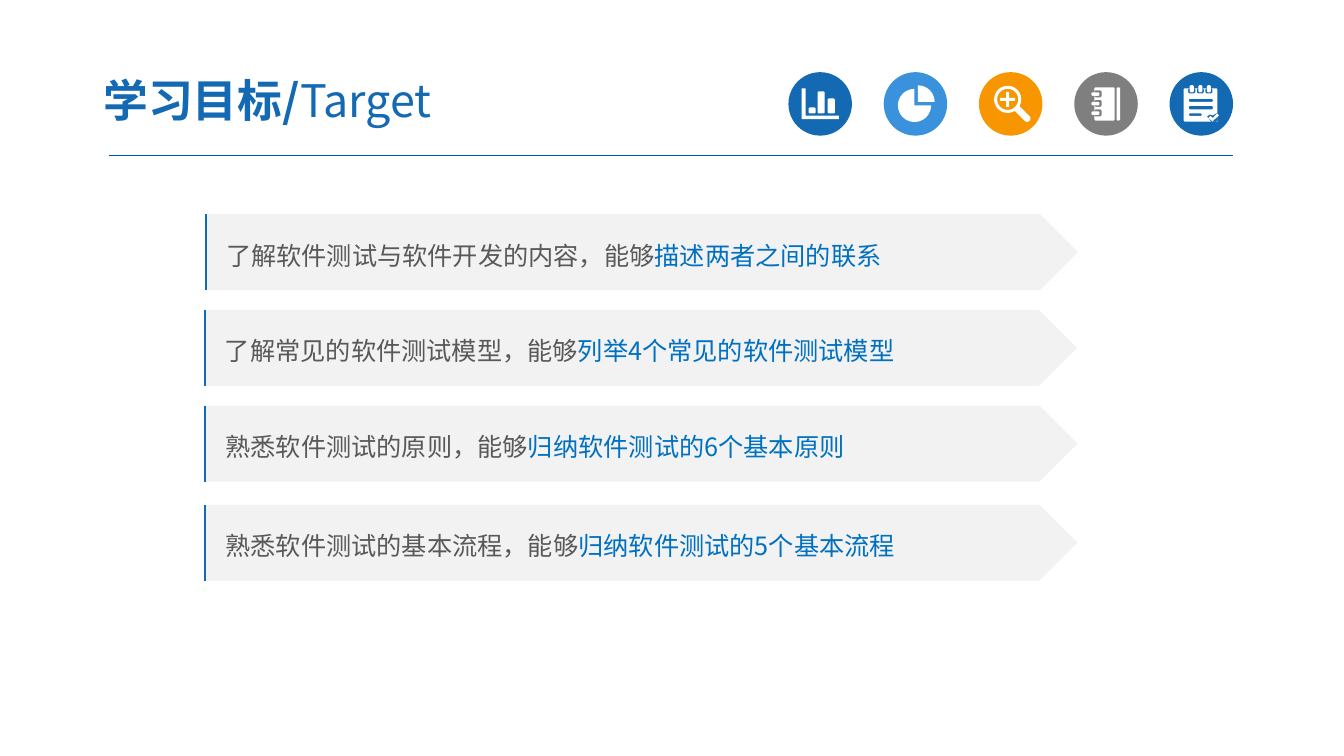
from dataclasses import dataclass
from math import cos, radians, sin

from lxml.etree import SubElement
from pptx import Presentation
from pptx.dml.color import RGBColor
from pptx.enum.shapes import MSO_CONNECTOR as Link, MSO_SHAPE as Preset
from pptx.enum.text import MSO_ANCHOR as Anchor, MSO_AUTO_SIZE as Fit, PP_ALIGN as Align
from pptx.oxml.ns import qn
from pptx.shapes.autoshape import Shape
from pptx.slide import Slide
from pptx.text.text import _Paragraph as Paragraph
from pptx.util import Inches, Length, Pt

NAVY = RGBColor(0x13, 0x69, 0xB2)
SKY = RGBColor(0x39, 0x92, 0xDB)
ORANGE = RGBColor(0xF7, 0x96, 0x00)
GRAY = RGBColor(0x7F, 0x7F, 0x7F)
WHITE = RGBColor(0xFF, 0xFF, 0xFF)
PALE = RGBColor(0xF2, 0xF2, 0xF2)
INK = RGBColor(0x59, 0x59, 0x59)
ACCENT = RGBColor(0x00, 0x70, 0xC0)
RULE = RGBColor(0x00, 0x5B, 0x9E)
FONT = "Noto Sans CJK SC"
COLUMNS, ROWS = 133.3, 75
DISC_LEFT, DISC_TOP, DISC_SIZE, DISC_PITCH = 78.2, 7.16, 6.3, 9.45
BANNER_WIDTH, BANNER_HEIGHT = 86.6, 7.53

Outline = tuple[tuple[float, float], ...]


@dataclass(frozen=True)
class Icon:
    """A coloured disc and the outlines of its glyph, in grid units from its corner."""

    color: RGBColor
    outlines: tuple[Outline, ...]


@dataclass(frozen=True)
class Goal:
    """A learning goal and the place of its banner."""

    left: float
    top: float
    lead: str
    focus: str


def bar(left: float, top: float, width: float, height: float) -> Outline:
    """Outline a bar with bevelled corners."""
    right, bottom, bevel = left + width, top + height, 0.1
    return ((left + bevel, top), (right - bevel, top), (right, top + bevel),
            (right, bottom - bevel), (right - bevel, bottom), (left + bevel, bottom),
            (left, bottom - bevel), (left, top + bevel))


def arc(x: float, y: float, radius: float, start: int = 0, end: int = 360) -> Outline:
    """Trace an arc clockwise around a centre."""
    return tuple((x + radius * cos(radians(angle)), y + radius * sin(radians(angle)))
                 for angle in range(start, end + 1, 15))


CHART = Icon(NAVY, (
    ((1.3, 1.6), (1.7, 1.6), (1.7, 4.3), (5, 4.3), (5, 4.65), (1.3, 4.65)),
    bar(2, 3.5, 0.7, 0.6), bar(2.9, 1.9, 0.7, 2.2), bar(3.9, 2.6, 0.7, 1.5)))
PIE = Icon(SKY, (
    (*arc(3.05, 3.3, 1.65, 0, 270), (3.05, 3.3)),
    (*arc(3.4, 2.95, 1.65, 270, 360), (3.4, 2.95))))
LENS = Icon(ORANGE, (
    arc(2.85, 2.7, 1.35), arc(2.85, 2.7, 1.05),
    ((2.7, 1.95), (3, 1.95), (3, 2.55), (3.6, 2.55), (3.6, 2.85), (3, 2.85),
     (3, 3.45), (2.7, 3.45), (2.7, 2.85), (2.1, 2.85), (2.1, 2.55), (2.7, 2.55)),
    ((4.05, 3.4), (5.1, 4.45), (5.1, 4.75), (4.85, 4.95), (4.6, 4.9), (3.55, 3.85))))
NOTEBOOK = Icon(GRAY, (
    bar(2, 1.5, 2, 3.3), bar(4.2, 1.5, 0.35, 3.3),
    *(bar(2, top, 0.7, 0.7) for top in (1.8, 2.75, 3.7)),
    *(bar(1.7, top, 0.8, 0.35) for top in (2, 2.95, 3.9))))
NOTEPAD = Icon(NAVY, (
    bar(1.4, 1.6, 3.35, 3.3),
    *(bar(left, 1.6, 0.7, 0.5) for left in (1.85, 2.7, 3.55)),
    *(bar(left, 1.3, 0.4, 0.7) for left in (2, 2.85, 3.7)),
    bar(1.9, 2.65, 2.4, 0.3), bar(1.9, 3.35, 2.4, 0.35), bar(1.9, 4.1, 1.3, 0.25),
    ((3.7, 4.4), (4, 4.2), (4.3, 4.3), (4.75, 4), (4.75, 4.9), (4.1, 4.9)),
    ((3.85, 4.55), (4.05, 4.35), (4.3, 4.55), (4.7, 4.1), (4.9, 4.3), (4.25, 4.88))))
ICONS = (CHART, PIE, LENS, NOTEBOOK, NOTEPAD)

GOALS = (
    Goal(20.33, 21.25, "了解软件测试与软件开发的内容，能够", "描述两者之间的联系"),
    Goal(20.22, 30.74, "了解常见的软件测试模型，能够", "列举4个常见的软件测试模型"),
    Goal(20.27, 40.25, "熟悉软件测试的原则，能够", "归纳软件测试的6个基本原则"),
    Goal(20.27, 50.08, "熟悉软件测试的基本流程，能够", "归纳软件测试的5个基本流程"),
)


def grid(units: float) -> Length:
    """Turn columns or rows of the grid into a length."""
    return Inches(units / 10)


def paint(shape: Shape, color: RGBColor) -> None:
    """Give a shape a flat fill without outline."""
    shape.shadow.inherit = False
    shape.fill.solid()
    shape.fill.fore_color.rgb = color
    shape.line.fill.background()


def add_block(page: Slide, preset: Preset, left: float, top: float,
              width: float, height: float, color: RGBColor) -> Shape:
    """Draw a flat preset shape."""
    block = page.shapes.add_shape(preset, *map(grid, (left, top, width, height)))
    paint(block, color)
    return block


def add_line(page: Slide, start: tuple[float, float], end: tuple[float, float],
             color: RGBColor, weight: float) -> None:
    """Draw a plain straight line."""
    line = page.shapes.add_connector(Link.STRAIGHT, *map(grid, (*start, *end)))
    line.line.color.rgb = color
    line.line.width = Pt(weight)
    SubElement(line._element.spPr, qn("a:effectLst"))


def set_font(para: Paragraph, size: float) -> None:
    """Set size and typeface for Latin and East Asian text."""
    para.font.size = Pt(size)
    para.font.name = FONT
    defaults = para._p.pPr.find(qn("a:defRPr"))
    SubElement(defaults, qn("a:ea"), typeface=FONT)


def add_title(page: Slide) -> None:
    """Fill and place the title."""
    title = page.shapes.title
    title.left, title.top, title.width, title.height = map(grid, (8.95, 6.3, 52.2, 7.2))
    frame = title.text_frame
    frame.auto_size = Fit.NONE
    frame.vertical_anchor = Anchor.MIDDLE
    frame.margin_left = frame.margin_right = grid(1.3)
    frame.margin_top = frame.margin_bottom = grid(0.7)
    para = frame.paragraphs[0]
    para.alignment = Align.LEFT
    set_font(para, 32)
    para.font.color.rgb = NAVY
    for text, bold in (("学习目标/", True), ("Target", False)):
        span = para.add_run()
        span.text = text
        span.font.bold = bold


def add_icon(page: Slide, icon: Icon, left: float) -> None:
    """Draw a disc and its glyph."""
    add_block(page, Preset.OVAL, left, DISC_TOP, DISC_SIZE, DISC_SIZE, icon.color)
    outlines = [[(grid(left + x), grid(DISC_TOP + y)) for x, y in outline]
                for outline in icon.outlines]
    builder = page.shapes.build_freeform(*outlines[0][0])
    for outline in outlines:
        builder.move_to(*outline[0])
        builder.add_line_segments(outline[1:], close=True)
    paint(builder.convert_to_shape(), WHITE)


def add_goal(page: Slide, goal: Goal) -> None:
    """Draw a goal banner with its edge line."""
    banner = add_block(page, Preset.PENTAGON, goal.left, goal.top,
                       BANNER_WIDTH, BANNER_HEIGHT, PALE)
    frame = banner.text_frame
    frame.word_wrap = True
    frame.vertical_anchor = Anchor.MIDDLE
    frame.margin_left = grid(2.1)
    para = frame.paragraphs[0]
    para.alignment = Align.LEFT
    para.line_spacing = 1.2
    set_font(para, 18)
    for text, color in ((goal.lead, INK), (goal.focus, ACCENT)):
        span = para.add_run()
        span.text = text
        span.font.color.rgb = color
    edge = goal.left + 0.08
    add_line(page, (edge, goal.top + BANNER_HEIGHT), (edge, goal.top), NAVY, 1.5)


def main() -> None:
    """Build the learning goals slide."""
    deck = Presentation()
    deck.slide_width, deck.slide_height = grid(COLUMNS), grid(ROWS)
    page = deck.slides.add_slide(deck.slide_layouts[5])
    add_line(page, (10.8, 15.45), (122.3, 15.45), RULE, 0.75)
    for index, icon in enumerate(ICONS):
        add_icon(page, icon, DISC_LEFT + index * DISC_PITCH)
    add_title(page)
    for goal in GOALS:
        add_goal(page, goal)
    deck.save("out.pptx")


if __name__ == "__main__":
    main()
